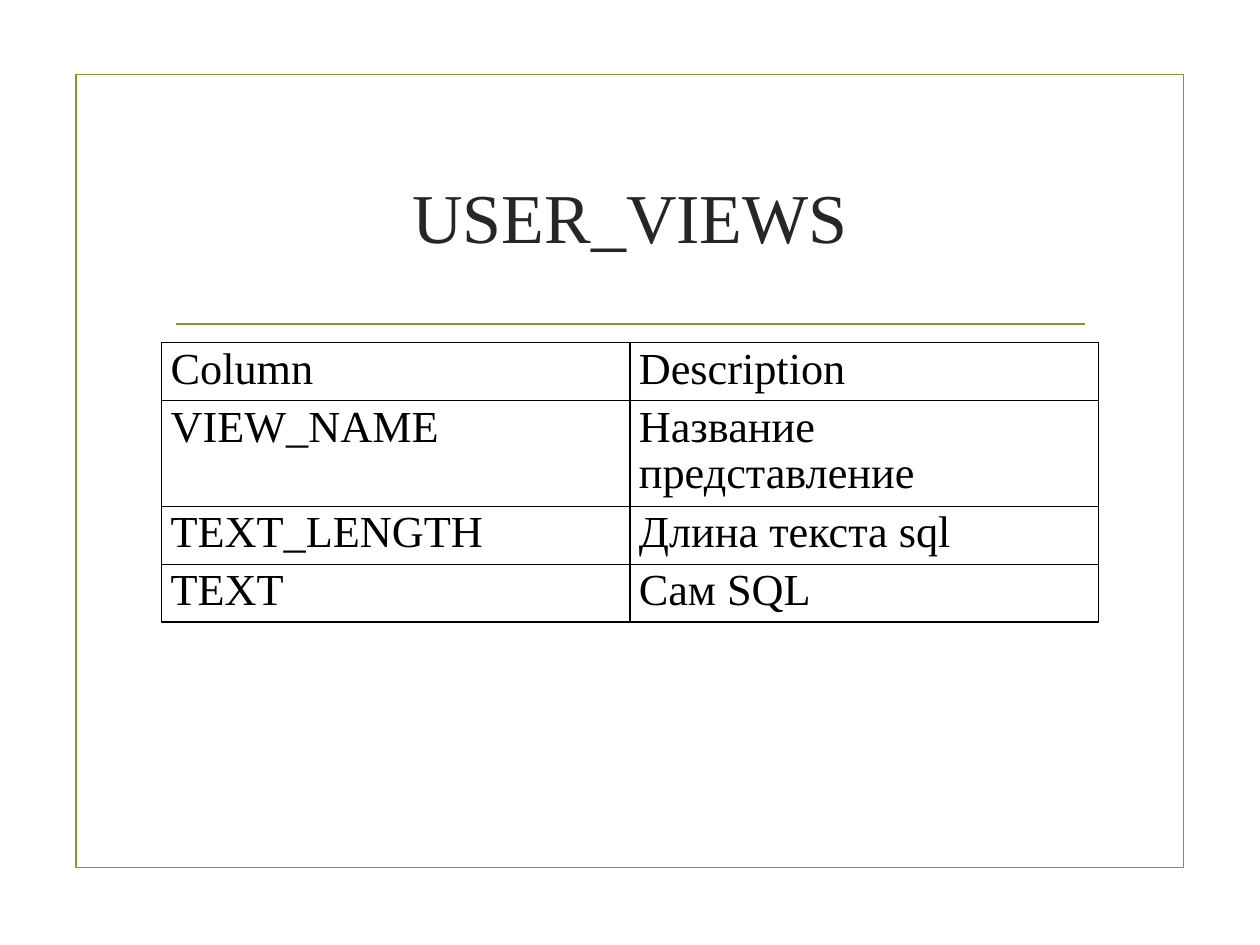
from lxml import etree
from pptx import Presentation
from pptx.dml.color import RGBColor
from pptx.enum.shapes import MSO_CONNECTOR, MSO_SHAPE
from pptx.enum.text import MSO_ANCHOR, PP_ALIGN
from pptx.oxml.ns import qn
from pptx.util import Pt

RECTANGLE = MSO_SHAPE.RECTANGLE
STRAIGHT = MSO_CONNECTOR.STRAIGHT
MIDDLE = MSO_ANCHOR.MIDDLE
CENTER, LEFT = PP_ALIGN.CENTER, PP_ALIGN.LEFT

COLORS = {"accent": "83992A", "title": "262626", "text": "000000"}
FONT = "Times New Roman"
TITLE_FORMAT = {"name": FONT, "size": Pt(56.9), "bold": False}
CELL_FORMAT = {"name": FONT, "size": Pt(36), "bold": False}

VIEW_COLUMNS = [
    ("Column", "Description"),
    ("VIEW_NAME", "Название представление"),
    ("TEXT_LENGTH", "Длина текста sql"),
    ("TEXT", "Сам SQL"),
]
ROW_HEIGHTS = [47, 86, 47, 47]


def rgb(name):
    return RGBColor.from_string(COLORS[name])


def write_text(tf, text, fmt, color, align):
    p = tf.paragraphs[0]
    p.alignment = align
    r = p.add_run()
    r.text = text
    for key, value in fmt.items():
        setattr(r.font, key, value)
    r.font.color.rgb = rgb(color)
    return p


def set_line(line):
    line.color.rgb = rgb("accent")
    line.width = Pt(1.25)


def add_frame(s, left, top, width, height):
    sp = s.shapes.add_shape(RECTANGLE, Pt(left), Pt(top), Pt(width), Pt(height))
    sp.shadow.inherit = False
    sp.fill.background()
    set_line(sp.line)


def add_rule(s, left, right, y):
    cxn = s.shapes.add_connector(STRAIGHT, Pt(left), Pt(y), Pt(right), Pt(y))
    set_line(cxn.line)
    etree.SubElement(cxn._element.spPr, qn("a:effectLst"))


def add_title(s, text, left, top, width, height):
    sp = s.shapes.title
    sp.left, sp.top, sp.width, sp.height = Pt(left), Pt(top), Pt(width), Pt(height)
    tf = sp.text_frame
    tf.word_wrap = True
    tf.vertical_anchor = MIDDLE
    write_text(tf, text, TITLE_FORMAT, "title", CENTER)


def set_borders(cell):
    tc_pr = cell._tc.get_or_add_tcPr()
    for side in ("lnL", "lnR", "lnT", "lnB"):
        ln = etree.SubElement(tc_pr, qn(f"a:{side}"), w=str(Pt(1)))
        fill = etree.SubElement(ln, qn("a:solidFill"))
        etree.SubElement(fill, qn("a:srgbClr"), val=COLORS["text"])


def add_view_table(s, left, top, width):
    rows, cols = len(VIEW_COLUMNS), len(VIEW_COLUMNS[0])
    frame = s.shapes.add_table(
        rows, cols, Pt(left), Pt(top), Pt(width), Pt(sum(ROW_HEIGHTS)))
    table = frame.table
    table.first_row = table.horz_banding = False
    for row, height, texts in zip(table.rows, ROW_HEIGHTS, VIEW_COLUMNS):
        row.height = Pt(height)
        for cell, text in zip(row.cells, texts):
            set_borders(cell)
            cell.fill.background()
            p = write_text(cell.text_frame, text, CELL_FORMAT, "text", LEFT)
            p.line_spacing = 0.95


def main():
    prs = Presentation()
    prs.slide_width, prs.slide_height = Pt(1024), Pt(768)
    s = prs.slides.add_slide(prs.slide_layouts[5])
    add_frame(s, 62, 60.5, 900, 644.5)
    add_rule(s, 143, 882, 263.5)
    add_title(s, "USER_VIEWS", 131.5, 102, 761, 146)
    add_view_table(s, 131.5, 278.5, 761)
    prs.save("out.pptx")


if __name__ == "__main__":
    main()
